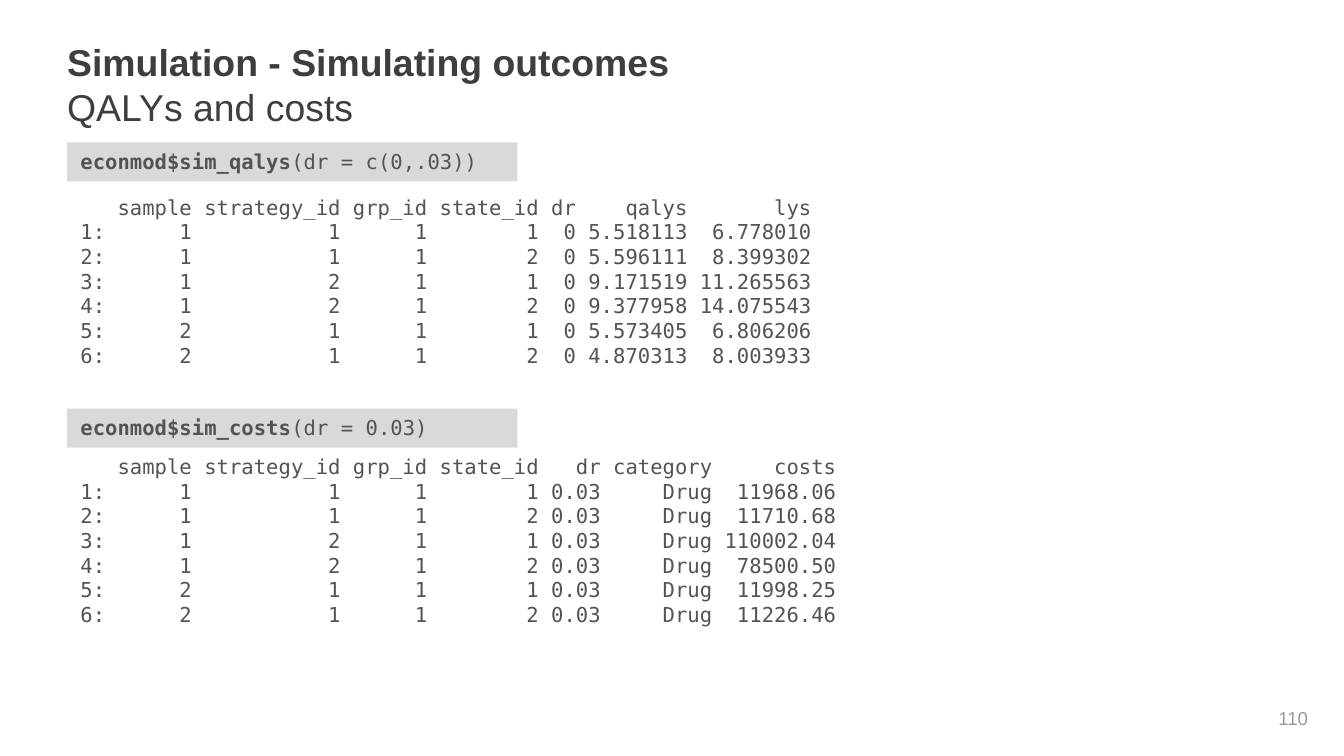
from pptx import Presentation
from pptx.dml.color import RGBColor
from pptx.enum.shapes import MSO_SHAPE
from pptx.enum.text import MSO_ANCHOR, PP_ALIGN
from pptx.util import Inches, Pt

TITLE_GREY = RGBColor(0x3E, 0x3E, 0x3E)
CODE_GREY = RGBColor(0x53, 0x53, 0x53)
NUMBER_GREY = RGBColor(0x99, 0x99, 0x99)
BAND_GREY = RGBColor(0xD9, 0xD9, 0xD9)

TITLE_FONT = {"name": "Arial", "size": Pt(20), "color": TITLE_GREY}
CODE_FONT = {"name": "DejaVu Sans Mono", "size": Pt(11), "color": CODE_GREY}
NUMBER_FONT = {"name": "Arial", "size": Pt(10), "color": NUMBER_GREY}

LEFT = 0.5
QALYS_OUTPUT = [
    "   sample strategy_id grp_id state_id dr    qalys       lys",
    "1:      1           1      1        1  0 5.518113  6.778010",
    "2:      1           1      1        2  0 5.596111  8.399302",
    "3:      1           2      1        1  0 9.171519 11.265563",
    "4:      1           2      1        2  0 9.377958 14.075543",
    "5:      2           1      1        1  0 5.573405  6.806206",
    "6:      2           1      1        2  0 4.870313  8.003933",
]
COSTS_OUTPUT = [
    "   sample strategy_id grp_id state_id   dr category     costs",
    "1:      1           1      1        1 0.03     Drug  11968.06",
    "2:      1           1      1        2 0.03     Drug  11710.68",
    "3:      1           2      1        1 0.03     Drug 110002.04",
    "4:      1           2      1        2 0.03     Drug  78500.50",
    "5:      2           1      1        1 0.03     Drug  11998.25",
    "6:      2           1      1        2 0.03     Drug  11226.46",
]


class SlideBuilder:
    """Adds consistently styled titles, commands and console output to a slide."""

    def __init__(self, deck):
        self.slide = deck.slides.add_slide(deck.slide_layouts[5])

    def add_span(self, para, text, style, bold=False):
        span = para.add_run()
        span.text = text
        for name, value in {**style, "bold": bold}.items():
            if name == "color":
                span.font.color.rgb = value
            else:
                setattr(span.font, name, value)

    def add_title(self, heading, subheading, left, top, width, height):
        title = self.slide.shapes.title
        bounds = {"left": left, "top": top, "width": width, "height": height}
        for name, value in bounds.items():
            setattr(title, name, Inches(value))
        frame = title.text_frame
        layout = {"margin_left": 0, "margin_top": 0, "margin_right": 0,
                  "margin_bottom": 0, "vertical_anchor": MSO_ANCHOR.MIDDLE,
                  "word_wrap": True}
        for name, value in layout.items():
            setattr(frame, name, value)
        para = frame.paragraphs[0]
        para.alignment = PP_ALIGN.LEFT
        self.add_span(para, heading, TITLE_FONT, bold=True)
        para.add_line_break()
        self.add_span(para, subheading, TITLE_FONT)

    def add_command(self, function, arguments, top):
        band = self.slide.shapes.add_shape(
            MSO_SHAPE.RECTANGLE, Inches(LEFT), Inches(top), Inches(3.35), Inches(0.29))
        band.shadow.inherit = False
        band.fill.solid()
        band.fill.fore_color.rgb = BAND_GREY
        band.line.fill.background()
        band.text_frame.vertical_anchor = MSO_ANCHOR.TOP
        para = band.text_frame.paragraphs[0]
        para.alignment = PP_ALIGN.LEFT
        self.add_span(para, function, CODE_FONT, bold=True)
        self.add_span(para, arguments, CODE_FONT)

    def add_text(self, lines, style, left, top, width, height,
                 alignment=PP_ALIGN.LEFT, anchor=MSO_ANCHOR.TOP):
        box = self.slide.shapes.add_textbox(
            Inches(left), Inches(top), Inches(width), Inches(height))
        frame = box.text_frame
        frame.word_wrap = True
        frame.vertical_anchor = anchor
        for index, line in enumerate(lines):
            para = frame.add_paragraph() if index else frame.paragraphs[0]
            para.alignment = alignment
            self.add_span(para, line, style)


def main():
    deck = Presentation()
    deck.slide_width = Inches(10)
    deck.slide_height = deck.slide_width * 9 // 16
    page = SlideBuilder(deck)
    page.add_title("Simulation - Simulating outcomes", "QALYs and costs",
                   LEFT, 0, 8.33, 1.25)
    page.add_command("econmod$sim_qalys", "(dr = c(0,.03))", 1.06)
    page.add_text(QALYS_OUTPUT, CODE_FONT, LEFT, 1.4, 7.11, 1.4)
    page.add_command("econmod$sim_costs", "(dr = 0.03)", 3.04)
    page.add_text(COSTS_OUTPUT, CODE_FONT, LEFT, 3.33, 7.35, 1.4)
    page.add_text(["110"], NUMBER_FONT, 9.29, 5.19, 0.54, 0.3,
                  PP_ALIGN.RIGHT, MSO_ANCHOR.MIDDLE)
    deck.save("out.pptx")


if __name__ == "__main__":
    main()
